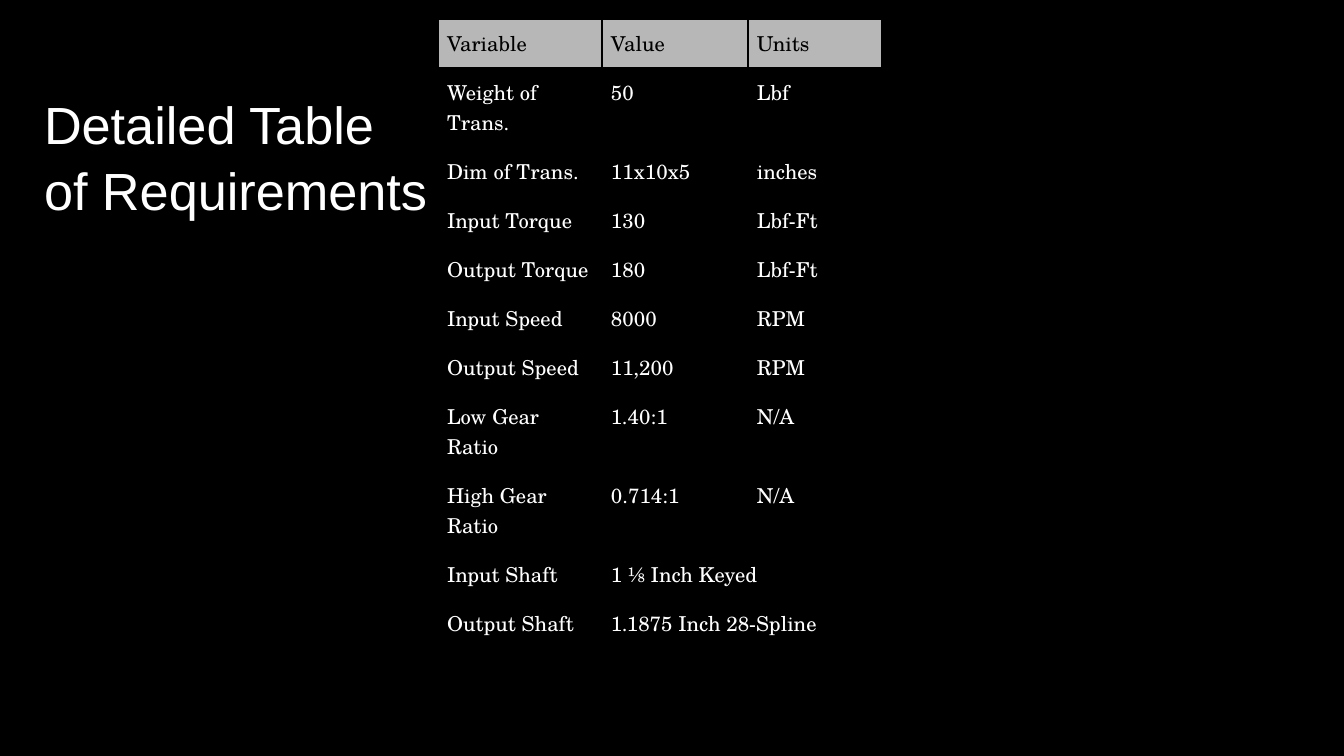
from lxml.etree import SubElement
from pptx import Presentation
from pptx.dml.color import RGBColor
from pptx.enum.text import MSO_ANCHOR, MSO_AUTO_SIZE, PP_ALIGN
from pptx.oxml import parse_xml
from pptx.oxml.ns import nsdecls, qn
from pptx.util import Pt

TITLE = ["Detailed Table", "of Requirements"]
REQUIREMENTS = [
    ("Variable", "Value", "Units"),
    ("Weight of Trans.", "50", "Lbf"),
    ("Dim of Trans.", "11x10x5", "inches"),
    ("Input Torque", "130", "Lbf-Ft"),
    ("Output Torque", "180", "Lbf-Ft"),
    ("Input Speed", "8000", "RPM"),
    ("Output Speed", "11,200", "RPM"),
    ("Low Gear Ratio", "1.40:1", "N/A"),
    ("High Gear Ratio", "0.714:1", "N/A"),
    ("Input Shaft", "1 ⅛ Inch Keyed"),
    ("Output Shaft", "1.1875 Inch 28-Spline"),
]
TWO_LINE_VARIABLES = {"Weight of Trans.", "Low Gear Ratio", "High Gear Ratio"}

THEME = {
    "background": "000000",
    "header_fill": "B7B7B7",
    "border": "000000",
    "title": {"name": "Arial", "size": Pt(28), "color": "FFFFFF"},
    "header": {"name": "TeX Gyre Schola", "size": Pt(11), "bold": False, "color": "000000"},
    "body": {"name": "TeX Gyre Schola", "size": Pt(11), "bold": False, "color": "FFFFFF"},
}

SLIDE_SIZE = (1344, 756)
TITLE_BOX = (30, 74, 544, 193)
TABLE_ORIGIN = (438, 19)
COLUMN_WIDTHS = (164, 146, 134)
ROW_HEIGHT, LINE_HEIGHT = 49, 30
CELL_MARGIN = 9


def px(length):
    return round(length * 914400 / 134.4)


def set_attributes(target, values):
    for name, value in values.items():
        setattr(target, name, value)


def format_font(font, style):
    set_attributes(font, {name: value for name, value in style.items() if name != "color"})
    font.color.rgb = RGBColor.from_string(style["color"])


def add_borders(cell):
    properties = cell._tc.get_or_add_tcPr()
    for index, side in enumerate(("lnL", "lnR", "lnT", "lnB")):
        line = parse_xml(f'<a:{side} {nsdecls("a")} w="{Pt(1)}"/>')
        fill = SubElement(line, qn("a:solidFill"))
        SubElement(fill, qn("a:srgbClr"), val=THEME["border"])
        properties.insert(index, line)


def add_title(slide):
    title = slide.shapes.title
    set_attributes(title, dict(zip(("left", "top", "width", "height"), map(px, TITLE_BOX))))
    frame = title.text_frame
    set_attributes(frame, {
        "text": "\n".join(TITLE),
        "word_wrap": True,
        "auto_size": MSO_AUTO_SIZE.NONE,
        "vertical_anchor": MSO_ANCHOR.TOP,
        "margin_left": px(14),
        "margin_right": px(14),
        "margin_top": px(15),
        "margin_bottom": px(13),
    })
    for paragraph in frame.paragraphs:
        set_attributes(paragraph, {"alignment": PP_ALIGN.LEFT, "line_spacing": 1.05})
        format_font(paragraph.runs[0].font, THEME["title"])


def format_cell(cell, text, is_header):
    set_attributes(cell, {
        "text": text,
        "vertical_anchor": MSO_ANCHOR.TOP,
        **{f"margin_{side}": px(CELL_MARGIN) for side in ("left", "right", "top", "bottom")},
    })
    if is_header:
        cell.fill.solid()
        cell.fill.fore_color.rgb = RGBColor.from_string(THEME["header_fill"])
    else:
        cell.fill.background()
    add_borders(cell)
    format_font(cell.text_frame.paragraphs[0].font, THEME["header" if is_header else "body"])


def add_requirements_table(slide):
    heights = [ROW_HEIGHT + LINE_HEIGHT * (row[0] in TWO_LINE_VARIABLES) for row in REQUIREMENTS]
    size = (sum(COLUMN_WIDTHS), sum(heights))
    table = slide.shapes.add_table(
        len(REQUIREMENTS), len(COLUMN_WIDTHS), *map(px, TABLE_ORIGIN + size)).table
    table.horz_banding = False
    for column, width in zip(table.columns, COLUMN_WIDTHS):
        column.width = px(width)
    for row_index, (values, height) in enumerate(zip(REQUIREMENTS, heights)):
        table.rows[row_index].height = px(height)
        for column_index in range(len(COLUMN_WIDTHS)):
            text = values[column_index] if column_index < len(values) else ""
            format_cell(table.cell(row_index, column_index), text, row_index == 0)
        if len(values) < len(COLUMN_WIDTHS):
            last_column = len(COLUMN_WIDTHS) - 1
            table.cell(row_index, len(values) - 1).merge(table.cell(row_index, last_column))


def main():
    presentation = Presentation()
    presentation.slide_width, presentation.slide_height = map(px, SLIDE_SIZE)
    slide = presentation.slides.add_slide(presentation.slide_layouts[5])
    slide.background.fill.solid()
    slide.background.fill.fore_color.rgb = RGBColor.from_string(THEME["background"])
    add_title(slide)
    add_requirements_table(slide)
    presentation.save("out.pptx")


if __name__ == "__main__":
    main()
